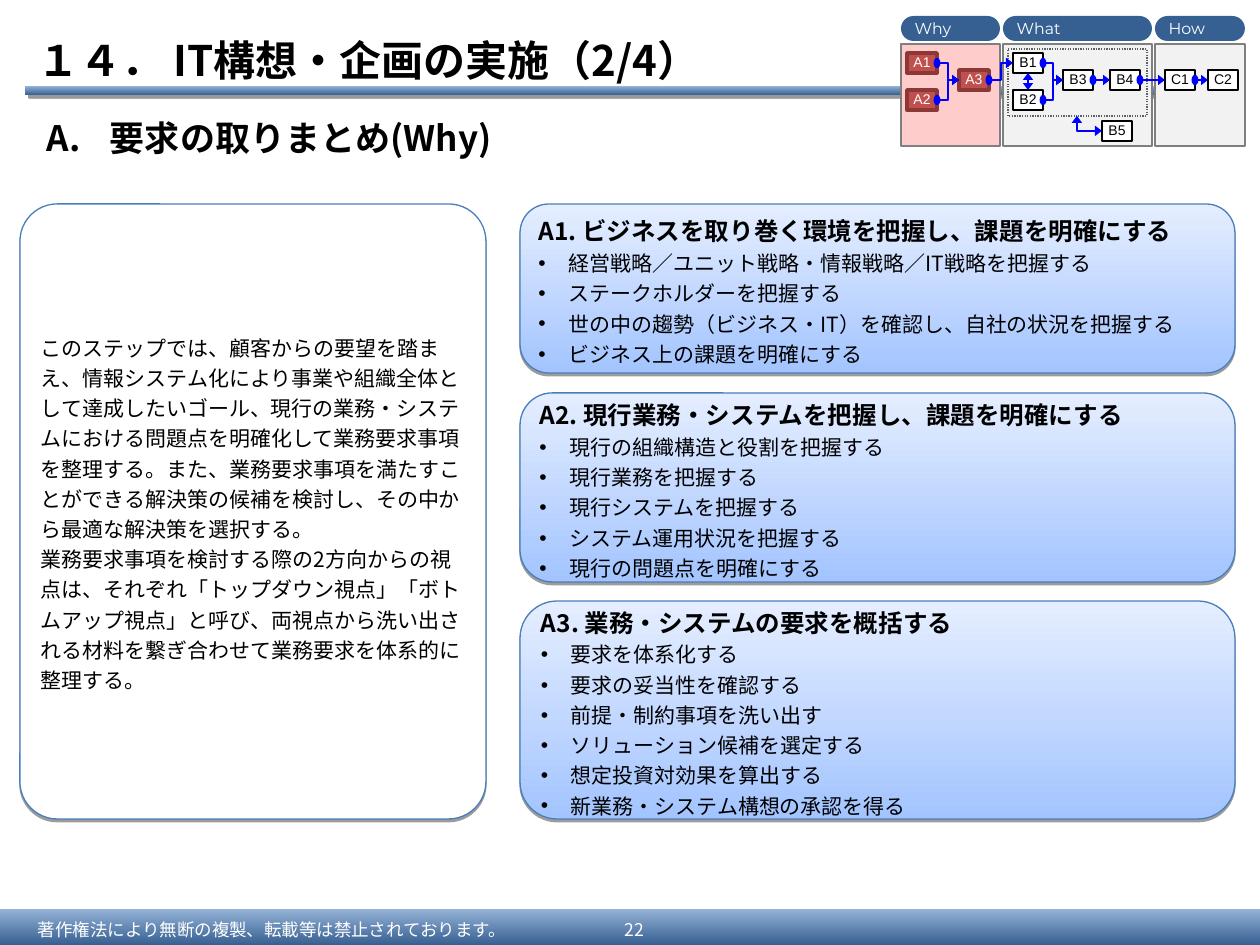
"""Build the slide on gathering requirements (Why) with its step map and three task panels."""
from lxml import etree
from pptx import Presentation
from pptx.dml.color import RGBColor
from pptx.enum.dml import MSO_LINE
from pptx.enum.shapes import MSO_CONNECTOR, MSO_SHAPE
from pptx.enum.text import MSO_ANCHOR, PP_ALIGN
from pptx.oxml.ns import qn
from pptx.util import Emu, Pt

RECT, ROUND = MSO_SHAPE.RECTANGLE, MSO_SHAPE.ROUNDED_RECTANGLE
STRAIGHT, ELBOW = MSO_CONNECTOR.STRAIGHT, MSO_CONNECTOR.ELBOW
LEFT, CENTER = PP_ALIGN.LEFT, PP_ALIGN.CENTER
TOP, MIDDLE = MSO_ANCHOR.TOP, MSO_ANCHOR.MIDDLE
DOTTED = MSO_LINE.ROUND_DOT

JP, TAB_FONT, NODE_FONT = "Noto Sans CJK JP", "Montserrat", "Arial"
COLORS = {
    "black": "000000", "white": "FFFFFF", "navy": "376092", "steel": "95B3D7",
    "panel_low": "A3C4FF", "panel_high": "E5EEFF", "panel_edge": "4A7EBB",
    "pink": "FFCCCC", "pale": "F2F2F2", "area_edge": "7F7F7F", "frame_edge": "5F5F5F",
    "red": "C0504D", "dark_red": "8C3836", "link": "0000FF",
}
BAR, PANEL = ("navy", "steel"), ("panel_low", "panel_high")
BAR_SHADOW, PANEL_SHADOW = (40, 3, 45), (38, 1.6, 90)
PANEL_INSETS = (10, 5, 13, 5)

TITLE = "１４． IT構想・企画の実施（2/4）"
SUBTITLE = "要求の取りまとめ(Why)"
FOOTER, PAGE = "著作権法により無断の複製、転載等は禁止されております。", "22"
OVERVIEW = [
    "このステップでは、顧客からの要望を踏まえ、情報システム化により事業や組織全体として達成したいゴール、"
    "現行の業務・システムにおける問題点を明確化して業務要求事項を整理する。また、業務要求事項を満たすことが"
    "できる解決策の候補を検討し、その中から最適な解決策を選択する。",
    "業務要求事項を検討する際の2方向からの視点は、それぞれ「トップダウン視点」「ボトムアップ視点」と呼び、"
    "両視点から洗い出される材料を繋ぎ合わせて業務要求を体系的に整理する。",
]
TASKS = [
    (204, 169, "A1. ビジネスを取り巻く環境を把握し、課題を明確にする", [
        "経営戦略／ユニット戦略・情報戦略／IT戦略を把握する",
        "ステークホルダーを把握する",
        "世の中の趨勢（ビジネス・IT）を確認し、自社の状況を把握する",
        "ビジネス上の課題を明確にする"]),
    (393, 189, "A2. 現行業務・システムを把握し、課題を明確にする", [
        "現行の組織構造と役割を把握する",
        "現行業務を把握する",
        "現行システムを把握する",
        "システム運用状況を把握する",
        "現行の問題点を明確にする"]),
    (601, 218, "A3. 業務・システムの要求を概括する", [
        "要求を体系化する",
        "要求の妥当性を確認する",
        "前提・制約事項を洗い出す",
        "ソリューション候補を選定する",
        "想定投資対効果を算出する",
        "新業務・システム構想の承認を得る"]),
]
STAGES = [("Why", 901, 99, "pink"), ("What", 1003, 149, "pale"), ("How", 1155, 90, "pale")]
STEPS = {
    "A1": (907, 53), "A2": (907, 90), "A3": (959, 70), "B1": (1013, 53), "B2": (1013, 90),
    "B3": (1063, 70), "B4": (1110, 70), "B5": (1102, 121), "C1": (1165, 70), "C2": (1208, 70),
}
STEP_W, STEP_H = 30, 20
FLOWS = [("A1", "A3"), ("A2", "A3"), ("A3", "B1"), ("B1", "B3"), ("B2", "B3"),
         ("B3", "B4"), ("B4", "C1"), ("C1", "C2")]
FRAME = (1008, 49, 139, 67)


def px(value):
    return Emu(round(value * 914400 / 126))


def rgb(name):
    return RGBColor.from_string(COLORS[name])


def add_shadow(shape, opacity, distance, angle):
    effects = shape._element.spPr.find(qn("a:effectLst"))
    shadow = etree.SubElement(effects, qn("a:outerShdw"), blurRad="0", dist=str(Pt(distance)),
                              dir=str(angle * 60000), algn="ctr", rotWithShape="0")
    color = etree.SubElement(shadow, qn("a:srgbClr"), val=COLORS["black"])
    etree.SubElement(color, qn("a:alpha"), val=str(opacity * 1000))


def add_block(slide, kind, box, fill, edge=None, width=0.75, shadow=None, radius=None):
    shape = slide.shapes.add_shape(kind, *map(px, box))
    shape.shadow.inherit = False
    if radius is not None:
        shape.adjustments[0] = radius
    if isinstance(fill, tuple):
        shape.fill.gradient()
        shape.fill.gradient_angle = 90
        for stop, name in zip(shape.fill.gradient_stops, fill):
            stop.color.rgb = rgb(name)
    else:
        shape.fill.solid()
        shape.fill.fore_color.rgb = rgb(fill)
    if edge:
        shape.line.color.rgb = rgb(edge)
        shape.line.width = Pt(width)
    else:
        shape.line.fill.background()
    if shadow:
        add_shadow(shape, *shadow)
    return shape


def format_paragraph(paragraph, size, color, bold=False, font=JP, align=LEFT, spacing=None):
    paragraph.alignment, paragraph.line_spacing = align, spacing
    paragraph._p.get_or_add_pPr().set("hangingPunct", "0")
    for run in paragraph.runs:
        run.font.size, run.font.bold, run.font.name = Pt(size), bold, font
        run.font.color.rgb = rgb(color)
        etree.SubElement(run._r.get_or_add_rPr(), qn("a:ea"), typeface=font)


def write(shape, lines, size, color, insets=(13, 5, 13, 5), anchor=MIDDLE, wrap=True, **style):
    frame = shape.text_frame
    frame.margin_left, frame.margin_top, frame.margin_right, frame.margin_bottom = map(px, insets)
    frame.vertical_anchor, frame.word_wrap = anchor, wrap
    frame.text = "\n".join(lines)
    for paragraph in frame.paragraphs:
        format_paragraph(paragraph, size, color, **style)
    return frame.paragraphs


def add_bullet(paragraph, hang, tag, **mark):
    properties = paragraph._p.get_or_add_pPr()
    properties.set("marL", str(px(hang)))
    properties.set("indent", str(-px(hang)))
    if tag == "a:buChar":
        etree.SubElement(properties, qn("a:buFont"), typeface="Arial")
    etree.SubElement(properties, qn(tag), **mark)


def add_link(slide, kind, start, end, head):
    link = slide.shapes.add_connector(kind, *map(px, start + end))
    link.line.color.rgb = rgb("link")
    link.line.width = Pt(1)
    line = link.line._get_or_add_ln()
    for tag, tip in (("a:headEnd", head), ("a:tailEnd", "triangle")):
        etree.SubElement(line, qn(tag), type=tip, w="med", len="sm")
    etree.SubElement(link._element.spPr, qn("a:effectLst"))
    return link


def add_step_map(slide):
    for stage, left, width, fill in STAGES:
        add_block(slide, RECT, (left, 44, width, 102), fill, "area_edge")
        tab = add_block(slide, ROUND, (left, 16, width, 25), "navy", radius=0.5)
        write(tab, [stage], 9, "white", (10, 0, 10, 0), wrap=False, font=TAB_FONT)
    add_block(slide, RECT, FRAME, "pale", "frame_edge").line.dash_style = DOTTED
    for step, (left, top) in STEPS.items():
        active = step.startswith("A")
        fill, edge, width, color = (("red", "dark_red", 2, "white") if active
                                    else ("white", "black", 0.75, "black"))
        node = add_block(slide, RECT, (left, top, STEP_W, STEP_H), fill, edge, width)
        write(node, [step], 8, color, (5, 5, 5, 5), font=NODE_FONT, align=CENTER, spacing=0.95)
    for source, target in FLOWS:
        (x1, y1), (x2, y2) = STEPS[source], STEPS[target]
        middle = STEP_H // 2
        add_link(slide, STRAIGHT if y1 == y2 else ELBOW,
                 (x1 + STEP_W, y1 + middle), (x2, y2 + middle), "oval")
    (x, upper), (_, lower) = STEPS["B1"], STEPS["B2"]
    center = x + STEP_W // 2
    add_link(slide, STRAIGHT, (center, upper + STEP_H), (center, lower), "triangle")
    x, y = STEPS["B5"]
    left, top, width, height = FRAME
    corner = add_link(slide, ELBOW, (x, y + STEP_H // 2),
                      (left + width // 2, top + height), "triangle")
    corner._element.spPr.find(qn("a:prstGeom")).set("prst", "bentConnector2")


def main():
    deck = Presentation()
    deck.slide_width, deck.slide_height = px(1260), px(945)
    slide = deck.slides.add_slide(deck.slide_layouts[5])

    add_block(slide, RECT, (0, 909, 1260, 36), BAR)
    add_block(slide, RECT, (25, 86, 1211, 9), BAR, shadow=BAR_SHADOW)
    title = slide.shapes.title
    title.left, title.top, title.width, title.height = map(px, (25, 26, 1235, 68))
    write(title, [TITLE], 24, "black", bold=True)
    for box, text, align in (((25, 913, 536, 32), FOOTER, LEFT), ((600, 912, 69, 35), PAGE, CENTER)):
        write(slide.shapes.add_textbox(*map(px, box)), [text], 10, "white", align=align)

    subtitle = slide.shapes.add_textbox(*map(px, (34, 111, 860, 56)))
    heading = write(subtitle, [SUBTITLE], 20, "black", anchor=TOP, bold=True)[0]
    add_bullet(heading, 63, "a:buAutoNum", type="alphaUcPeriod")
    add_step_map(slide)

    overview = add_block(slide, ROUND, (20, 204, 466, 615), "white", "panel_edge",
                         shadow=PANEL_SHADOW, radius=0.08)
    write(overview, OVERVIEW, 12, "black", PANEL_INSETS, spacing=1.2)
    for top, height, task, details in TASKS:
        panel = add_block(slide, ROUND, (520, top, 715, height), PANEL, "panel_edge",
                          shadow=PANEL_SHADOW, radius=0.17)
        name, *items = write(panel, [task] + details, 12, "black", PANEL_INSETS, spacing=1.2)
        name.runs[0].font.size, name.runs[0].font.bold = Pt(14), True
        for item in items:
            add_bullet(item, 30, "a:buChar", char="•")
    deck.save("out.pptx")


if __name__ == "__main__":
    main()
